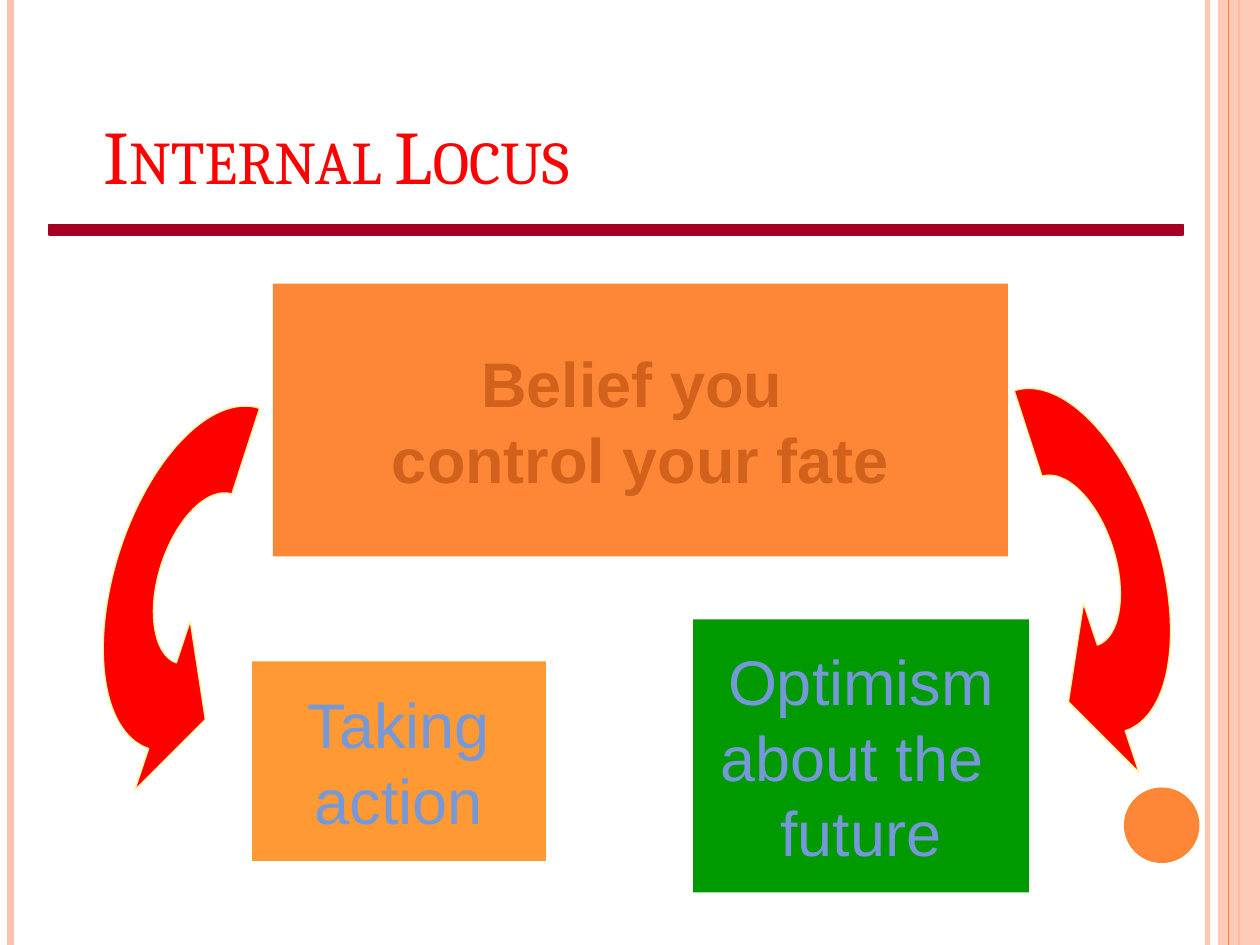
"""Build the Internal Locus slide on a grid of 120 columns by 90 rows."""
import math

from lxml import etree
from pptx import Presentation
from pptx import util as u
from pptx.dml.color import RGBColor
from pptx.enum import shapes, text
from pptx.oxml import ns

COLORS = {
    "orange": "FE8637", "peach": "FEC3AE", "crimson": "A50021", "red": "FF0000",
    "rust": "D2611C", "green": "009900", "amber": "FF9933", "blue": "7598D9",
    "cream": "FFF39D",
}

deck = Presentation()
deck.slide_width, deck.slide_height = u.Inches(10), u.Inches(7.5)
page = deck.slides.add_slide(deck.slide_layouts[6])
cell = deck.slide_width / 120


def add_block(kind, area, fill, line=None):
    block = page.shapes.add_shape(kind, *(round(n * cell) for n in area))
    block.shadow.inherit = False
    block.fill.solid()
    block.fill.fore_color.rgb = RGBColor.from_string(COLORS[fill])
    if line:
        block.line.color.rgb = RGBColor.from_string(COLORS[line])
        block.line.width = u.Pt(0.75)
    else:
        block.line.fill.background()
    return block


def set_opacity(shape, percent):
    color = next(shape._element.spPr.iter(ns.qn("a:srgbClr")))
    etree.SubElement(color, ns.qn("a:alpha")).set("val", str(percent * 1000))


stripes = {}
for column, color, width in [(115, "peach", 3), (1, "peach", 4.5),
                             (118, "orange", 1.5), (117, "orange", 0.75)]:
    if column == 117:
        band = add_block(shapes.MSO_SHAPE.RECTANGLE, (116, 0, 4, 90), "peach")
        set_opacity(band, 87)
    x = round(column * cell)
    stripe = page.shapes.add_connector(shapes.MSO_CONNECTOR.STRAIGHT, x, 0, x, deck.slide_height)
    stripe.line.color.rgb = RGBColor.from_string(COLORS[color])
    stripe.line.width = u.Pt(width)
    etree.SubElement(stripe._element.spPr, ns.qn("a:effectLst"))
    stripes[column] = stripe
set_opacity(stripes[115], 93)

add_block(shapes.MSO_SHAPE.OVAL, (107.04, 75, 7.2, 7.2), "orange")

title = page.shapes.add_textbox(*(round(n * cell) for n in (8.64, 10.4, 93, 9.2)))
title.text_frame.word_wrap = True
title.text_frame.vertical_anchor = text.MSO_ANCHOR.BOTTOM
span = title.text_frame.paragraphs[0].add_run()
span.text = "Internal Locus"
span.font.name, span.font.size = "Cambria", u.Pt(43.2)
span.font.color.rgb = RGBColor.from_string(COLORS["red"])
span.font._element.set("cap", "small")

add_block(shapes.MSO_SHAPE.RECTANGLE, (4.68, 21.4, 108, 1), "crimson", "crimson")

ideas = [
    ((26, 27, 70, 26), "orange", "rust", True, ["Belief you ", "control your fate"]),
    ((66, 59, 32, 26), "green", "blue", False, ["Optimism", "about the ", "future"]),
    ((24, 63, 28, 19), "amber", "blue", False, ["Taking", "action"]),
]
for area, fill, ink, bold, lines in ideas:
    box = add_block(shapes.MSO_SHAPE.RECTANGLE, area, fill)
    box.text_frame.word_wrap = False
    box.text_frame.vertical_anchor = text.MSO_ANCHOR.MIDDLE
    para = box.text_frame.paragraphs[0]
    para.alignment = text.PP_ALIGN.CENTER
    for index, line in enumerate(lines):
        if index:
            para.add_line_break()
        span = para.add_run()
        span.text = line
        span.font.name, span.font.size, span.font.bold = "Arial", u.Pt(36), bold
        span.font.color.rgb = RGBColor.from_string(COLORS[ink])

outline = [
    ("moveTo", [(8.71, 5.12)]),
    ("cubicBezTo", [(8.89, 5.06), (8.95, 4.71), (8.83, 4.34)]),
    ("cubicBezTo", [(8.71, 3.97), (8.46, 3.72), (8.27, 3.78)]),
    ("lnTo", [(8.05, 3.1)]),
    ("cubicBezTo", [(8.43, 2.98), (8.92, 3.49), (9.16, 4.23)]),
    ("cubicBezTo", [(9.4, 4.98), (9.3, 5.68), (8.93, 5.8)]),
    ("lnTo", [(9.04, 6.13)]),
    ("lnTo", [(8.48, 5.57)]),
    ("lnTo", [(8.6, 4.79)]),
    ("close", []),
]
wide, high, tilt = 2.83, 1.42, 72
center_x, center_y = 7.07 + wide / 2, 3.74 + high / 2
cosine, sine = math.cos(math.radians(tilt)), math.sin(math.radians(tilt))

for left, top, side in [(7.07, 3.74, 1), (0.21, 3.88, -1)]:
    right, bottom = left + wide, top + high
    corners = [(u.Inches(x), u.Inches(y))
               for x, y in [(left, top), (right, top), (right, bottom), (left, bottom)]]
    builder = page.shapes.build_freeform(*corners[0])
    builder.add_line_segments(corners[1:], close=True)
    arrow = builder.convert_to_shape()
    route = next(arrow._element.spPr.iter(ns.qn("a:path")))
    for old in list(route):
        route.remove(old)
    for command, points in outline:
        segment = etree.SubElement(route, ns.qn("a:" + command))
        for x, y in points:
            dx, dy = x - center_x, y - center_y
            across = wide / 2 + side * (dx * cosine + dy * sine)
            down = high / 2 + dy * cosine - dx * sine
            point = etree.SubElement(segment, ns.qn("a:pt"))
            point.set("x", str(u.Inches(across)))
            point.set("y", str(u.Inches(down)))
    arrow.rotation = side * tilt % 360
    arrow.shadow.inherit = False
    arrow.fill.solid()
    arrow.fill.fore_color.rgb = RGBColor.from_string(COLORS["red"])
    arrow.line.color.rgb = RGBColor.from_string(COLORS["cream"])
    arrow.line.width = u.Pt(0.75)

deck.save("out.pptx")
